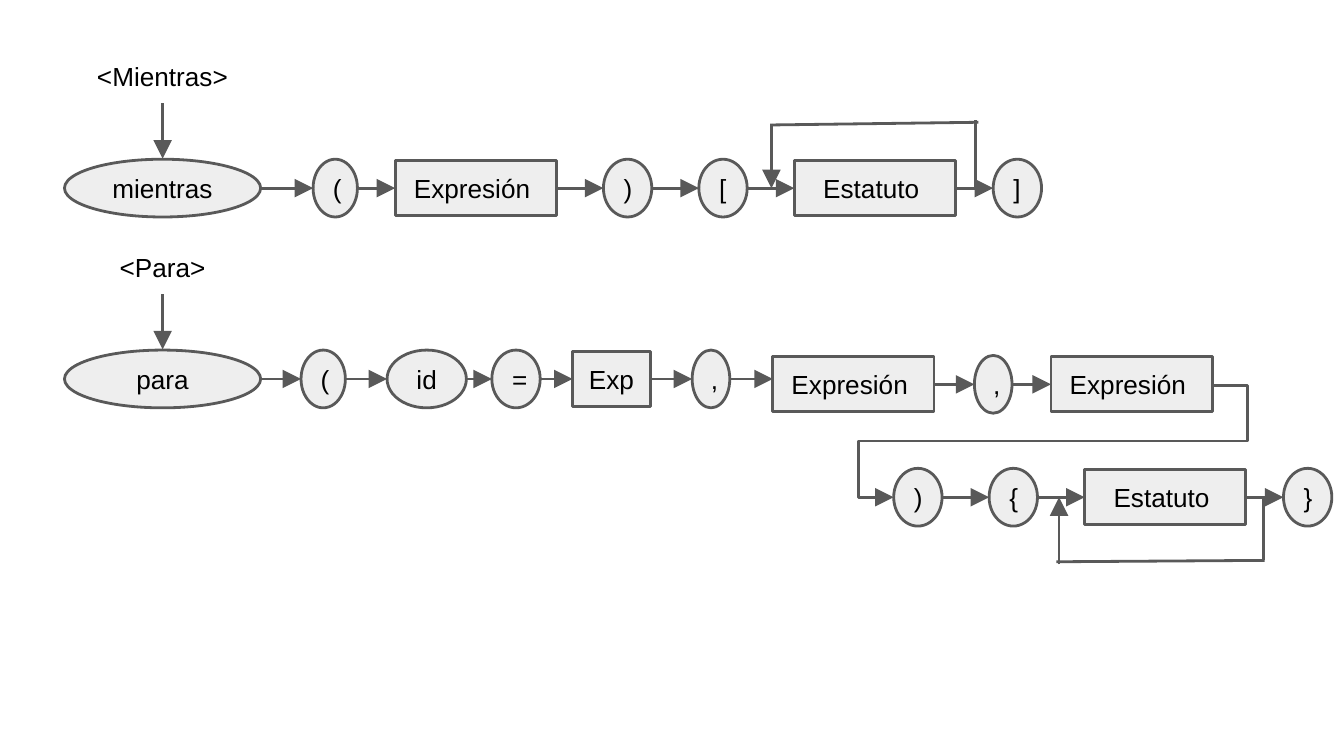
"""Builds a slide with the syntax diagrams of two loop statements."""
from lxml.etree import SubElement
from pptx import Presentation
from pptx.dml.color import RGBColor as Color
from pptx.enum.shapes import MSO_CONNECTOR as Link, MSO_SHAPE as Shape
from pptx.enum.text import MSO_ANCHOR as Anchor, PP_ALIGN as Align
from pptx.oxml.ns import qn
from pptx.util import Inches, Pt

THEME = {"fill": Color(0xEE, 0xEE, 0xEE), "line": Color(0x59, 0x59, 0x59),
         "text": Color(0, 0, 0), "font": "Arial", "size": Pt(14), "width": Pt(1.5)}

LEFT, HEAD, HIGH, LOW = 0.48, 1.46, 0.43, 0.41
BOXES = {"Expresión ": 1.2, "Estatuto ": 1.2, "Exp ": 0.58}
OVALS = {"mientras": HEAD, "para": HEAD, "id": 0.59, "(": 0.33, ",": 0.28}
SIGN = 0.36

LABELS = [("<Mientras>", 0.35), ("<Para>", 1.77)]
ROWS = [
    (LEFT, 1.4, [("mientras", 0.39), ("(", 0.28), ("Expresión ", 0.35), (")", 0.35),
                 ("[", 0.35), ("Estatuto ", 0.28), ("]", 0)]),
    (LEFT, 2.82, [("para", 0.3), ("(", 0.31), ("id", 0.19), ("=", 0.24),
                  ("Exp ", 0.31), (",", 0.32)]),
    (5.75, 2.86, [("Expresión ", 0.3), (",", 0.29), ("Expresión ", 0)]),
    (6.65, 3.7, [(")", 0.35), ("{", 0.35), ("Estatuto ", 0.28), ("}", 0)]),
]
LOOPS = [
    [((7.26, 1.4), (7.26, 0.89)), ((7.28, 0.91), (5.73, 0.93)), ((5.74, 0.92), (5.74, 1.4))],
    [((9.4, 3.7), (9.4, 4.17)), ((9.41, 4.17), (7.86, 4.18)), ((7.88, 4.2), (7.88, 3.7))],
]
WRAP = ((9.02, 2.87), (6.65, 3.7))
BENDS = (-11000, 49600, 111000)

deck = Presentation()
deck.slide_width = Inches(10)
deck.slide_height = deck.slide_width * 9 // 16
slide = deck.slides.add_slide(deck.slide_layouts[6])


def write(shape, text, align=Align.CENTER, anchor=Anchor.MIDDLE):
    frame = shape.text_frame
    frame.word_wrap = True
    frame.vertical_anchor = anchor
    frame.margin_left = frame.margin_right = Inches(0.1)
    frame.margin_top = frame.margin_bottom = Inches(0.1)
    para = frame.paragraphs[0]
    para.alignment = align
    run = para.add_run()
    run.text = text
    run.font.name, run.font.size = THEME["font"], THEME["size"]
    run.font.color.rgb = THEME["text"]


def join(start, end, arrow=True, kind=Link.STRAIGHT):
    link = slide.shapes.add_connector(kind, *map(Inches, start + end))
    link.line.color.rgb, link.line.width = THEME["line"], THEME["width"]
    props = link._element.spPr
    if arrow:
        SubElement(props.get_or_add_ln(), qn("a:tailEnd"), type="triangle", w="lg", len="lg")
    SubElement(props, qn("a:effectLst"))
    return link


def node(text, left, mid):
    box = text in BOXES
    wide = BOXES[text] if box else OVALS.get(text, SIGN)
    high = LOW if box else HIGH
    shape = slide.shapes.add_shape(Shape.RECTANGLE if box else Shape.OVAL,
                                   *map(Inches, (left, mid - high / 2, wide, high)))
    shape.shadow.inherit = False
    shape.fill.solid()
    shape.fill.fore_color.rgb = THEME["fill"]
    shape.line.color.rgb, shape.line.width = THEME["line"], THEME["width"]
    bare = len(text) == 1 and text != "="
    write(shape, text, align=Align.LEFT if bare else Align.CENTER)
    return left + wide


for text, top in LABELS:
    label = slide.shapes.add_textbox(*map(Inches, (LEFT, top, HEAD, HIGH)))
    write(label, text, anchor=Anchor.TOP)
    mid = LEFT + HEAD / 2
    join((mid, top + 0.42), (mid, top + 0.83))

for left, mid, cells in ROWS:
    for text, gap in cells:
        edge = node(text, left, mid)
        left = edge + gap
        if gap:
            join((edge, mid), (left, mid))

for loop in LOOPS:
    for step, ends in enumerate(loop, 1):
        join(*ends, arrow=step == len(loop))

geom = join(*WRAP, kind=Link.ELBOW)._element.spPr.find(qn("a:prstGeom"))
geom.set("prst", "bentConnector5")
marks = geom.find(qn("a:avLst"))
if marks is None:
    marks = SubElement(geom, qn("a:avLst"))
for num, bend in enumerate(BENDS, 1):
    SubElement(marks, qn("a:gd"), name=f"adj{num}", fmla=f"val {bend}")

deck.save("out.pptx")
